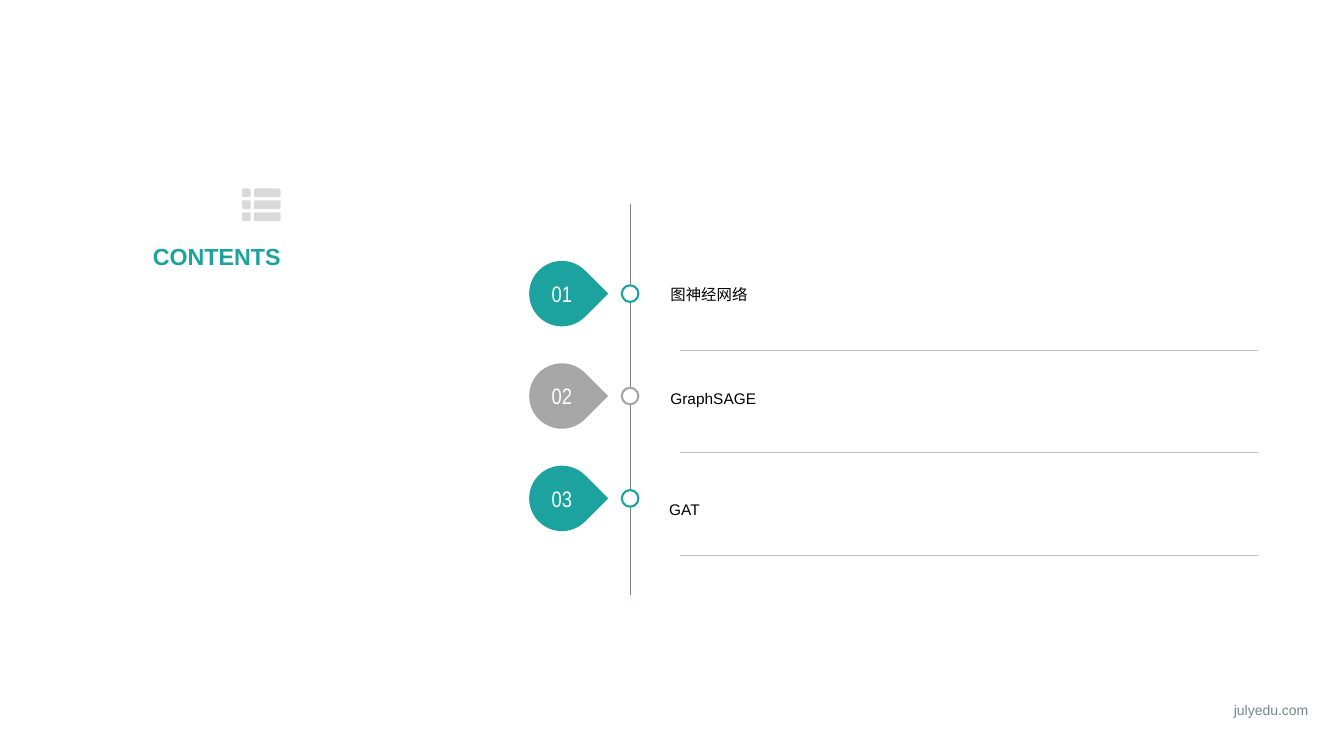
from dataclasses import dataclass
from lxml.etree import SubElement
from pptx import Presentation
from pptx.dml.color import RGBColor
from pptx.enum.shapes import MSO_CONNECTOR, MSO_SHAPE
from pptx.enum.text import MSO_ANCHOR, MSO_AUTO_SIZE, PP_ALIGN
from pptx.oxml.ns import qn
from pptx.util import Cm, Pt


@dataclass(frozen=True)
class Theme:
    teal: str = "1CA39F"
    gray: str = "A6A6A6"
    pale: str = "D9D9D9"
    rule: str = "BFBFBF"
    slate: str = "768394"
    white: str = "FFFFFF"
    black: str = "000000"
    sans: str = "Arial"
    slim: str = "Arial Narrow"
    head: float = 16.6
    mark: float = 16
    item: float = 11
    foot: float = 10


theme = Theme()
deck = Presentation()
deck.slide_width, deck.slide_height = Cm(33.87), Cm(19.05)
slide = deck.slides.add_slide(deck.slide_layouts[4])
shapes = slide.shapes


def write(shape, text, size, color, align, face=theme.sans, bold=False):
    """Put one formatted run into a shape and return its paragraph."""
    frame = shape.text_frame
    frame.auto_size = MSO_AUTO_SIZE.NONE
    frame.word_wrap = True
    frame.vertical_anchor = MSO_ANCHOR.MIDDLE
    line = frame.paragraphs[0]
    line.alignment = align
    line.space_before = Pt(0)
    run = line.add_run()
    run.text = text
    run.font.name, run.font.size, run.font.bold = face, Pt(size), bold
    run.font.color.rgb = RGBColor.from_string(color)
    return line


def rule(left, top, right, base, color, width):
    """Draw a straight line without a shadow."""
    line = shapes.add_connector(
        MSO_CONNECTOR.STRAIGHT, Cm(left), Cm(top), Cm(right), Cm(base))
    line.line.color.rgb = RGBColor.from_string(color)
    line.line.width = Pt(width)
    SubElement(line._element.spPr, qn("a:effectLst"))


# Heading
title = shapes.title
title.left, title.top, title.width, title.height = Cm(1.55), Cm(6), Cm(5.77), Cm(0.89)
write(title, "CONTENTS", theme.head, theme.teal, PP_ALIGN.RIGHT, bold=True)

# List icon: three rows of a dot and a bar
for row in range(3):
    for left, width in ((6.1, 0.22), (6.4, 0.67)):
        bar = shapes.add_shape(MSO_SHAPE.ROUNDED_RECTANGLE, Cm(left),
                               Cm(4.75 + 0.3 * row), Cm(width), Cm(0.22))
        bar.adjustments[0] = 0.2
        bar.shadow.inherit = False
        bar.fill.solid()
        bar.fill.fore_color.rgb = RGBColor.from_string(theme.pale)
        bar.line.fill.background()

# Timeline
spine = 15.88
rule(spine, 5.13, spine, 14.99, theme.slate, 0.5)

# Chapters: text, text left, text top, accent
items = [("图神经网络", 16.64, 6.78, theme.teal),
         ("GraphSAGE", 16.64, 9.4, theme.gray),
         ("GAT", 16.61, 12.19, theme.teal)]
slots = [slot for slot in slide.placeholders if slot.placeholder_format.idx]
drop, ring, disc = 1.65, 0.42, 1.6
center = 14.16

for place, (text, left, top, color) in enumerate(items):
    middle = 7.4 + 2.58 * place
    accent = RGBColor.from_string(color)

    # Ring on the timeline
    knot = shapes.add_shape(MSO_SHAPE.OVAL, Cm(spine - ring / 2),
                            Cm(middle - ring / 2), Cm(ring), Cm(ring))
    knot.shadow.inherit = False
    knot.fill.solid()
    knot.fill.fore_color.rgb = RGBColor.from_string(theme.white)
    knot.line.color.rgb = accent
    knot.line.width = Pt(1.5)

    # Drop that points at the ring
    tear = shapes.add_shape(MSO_SHAPE.TEAR, Cm(center - drop / 2),
                            Cm(middle - drop / 2), Cm(drop), Cm(drop))
    tear.rotation = 45
    tear.shadow.inherit = False
    tear.fill.solid()
    tear.fill.fore_color.rgb = accent
    tear.line.fill.background()

    # Upright number over the drop
    mark = shapes.add_shape(MSO_SHAPE.OVAL, Cm(center - disc / 2),
                            Cm(middle - disc / 2), Cm(disc), Cm(disc))
    mark.shadow.inherit = False
    mark.fill.background()
    mark.line.fill.background()
    write(mark, f"{place + 1:02}", theme.mark, theme.white, PP_ALIGN.CENTER, theme.slim)
    mark.text_frame.word_wrap = False

    # Chapter name and the line below it
    slot = slots[place]
    slot.left, slot.top, slot.width, slot.height = Cm(left), Cm(top), Cm(15.06), Cm(1.19)
    line = write(slot, text, theme.item, theme.black, PP_ALIGN.LEFT)
    line.line_spacing = 1.2
    props = line._p.get_or_add_pPr()
    props.set("marL", "0")
    props.set("indent", "0")
    SubElement(props, qn("a:buNone"))
    rule(17.15, middle + 1.42, 31.7, middle + 1.42, theme.rule, 0.25)

# Unused placeholder
for slot in slots[len(items):]:
    slot._element.getparent().remove(slot._element)

# Web address
foot = shapes.add_textbox(Cm(26.57), Cm(17.55), Cm(6.65), Cm(0.69))
write(foot, "julyedu.com", theme.foot, theme.slate, PP_ALIGN.RIGHT)

deck.save("out.pptx")
